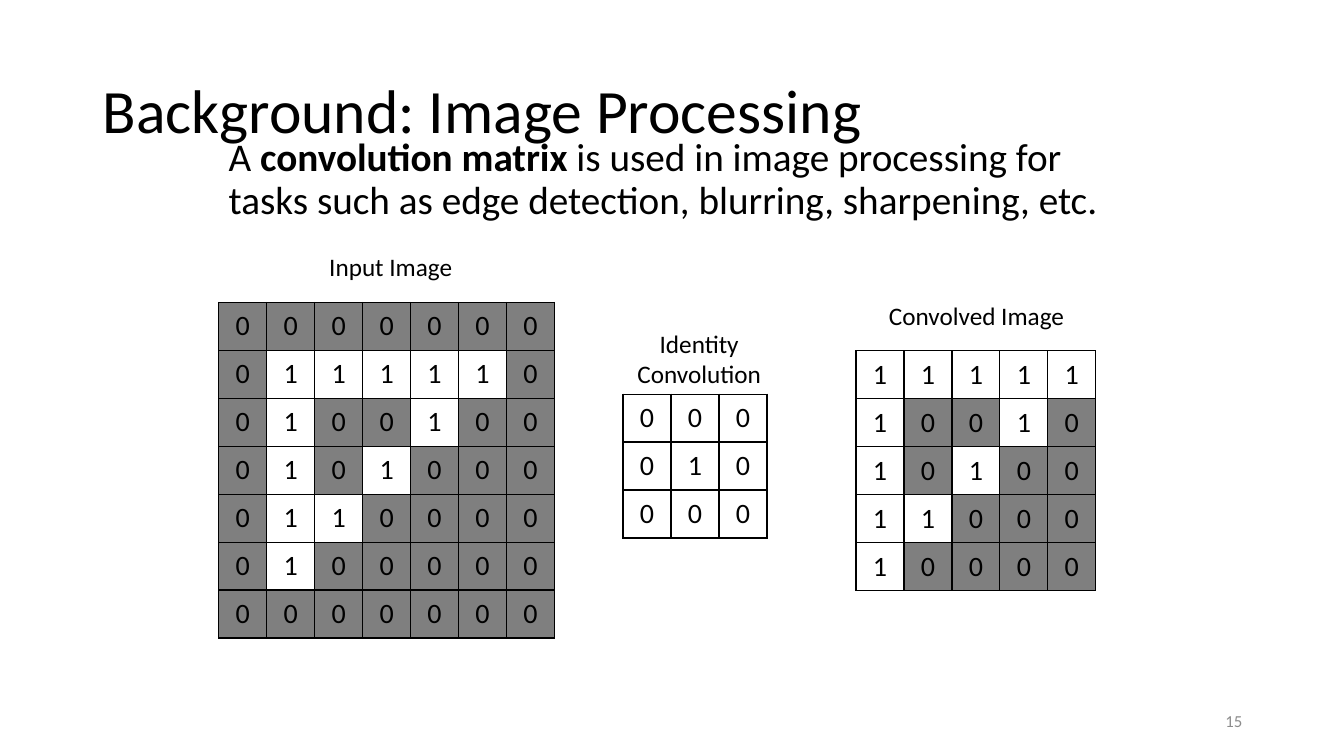
import pptx
import pptx.dml.color
import pptx.enum.text
import pptx.oxml
import pptx.oxml.ns
import pptx.util
from pptx.util import Inches

ALIGN = pptx.enum.text.PP_ALIGN
ANCHOR = pptx.enum.text.MSO_ANCHOR

CELL = 3.33 / 7
GRAY = "7F7F7F"
WHITE = "FFFFFF"

INPUT_IMAGE = ["0000000", "0111110", "0100100", "0101000",
               "0110000", "0100000", "0000000"]
IDENTITY_KERNEL = ["000", "010", "000"]
# The identity kernel keeps the inner pixels and drops the outer ring.
CONVOLVED_IMAGE = [row[1:-1] for row in INPUT_IMAGE[1:-1]]


def color(value):
    return pptx.dml.color.RGBColor.from_string(value)


def write(paragraph, text, font="Calibri", size=18, ink="000000", bold=False,
          align=ALIGN.LEFT, spacing=None):
    """Add one formatted run to the paragraph."""
    paragraph.alignment = align
    if spacing:
        paragraph.line_spacing = spacing
    run = paragraph.add_run()
    run.text = text
    run.font.name = font
    run.font.size = pptx.util.Pt(size)
    run.font.bold = bold
    run.font.color.rgb = color(ink)


class SlideBuilder:
    def __init__(self, slide, border="000000", border_width=1):
        self.slide = slide
        self.border = border
        self.border_width = pptx.util.Pt(border_width)

    def text(self, left, top, width, height, *parts, anchor=ANCHOR.MIDDLE,
             **style):
        """Add a text box; each part is a (text, bold) pair."""
        box = self.slide.shapes.add_textbox(
            Inches(left), Inches(top), Inches(width), Inches(height))
        frame = box.text_frame
        frame.word_wrap = True
        frame.vertical_anchor = anchor
        for text, bold in parts:
            write(frame.paragraphs[0], text, bold=bold, **style)

    def label(self, left, top, width, text):
        self.text(left, top, width, 0.43, (text, False), align=ALIGN.CENTER)

    def outline(self, cell):
        """Draw the four borders of a table cell."""
        properties = cell._tc.get_or_add_tcPr()
        for side in ("lnL", "lnR", "lnT", "lnB"):
            properties.append(pptx.oxml.parse_xml(
                f'<a:{side} {pptx.oxml.ns.nsdecls("a")} w="{self.border_width}">'
                f'<a:solidFill><a:srgbClr val="{self.border}"/></a:solidFill>'
                f'</a:{side}>'))

    def matrix(self, left, top, rows, zero_fill=GRAY):
        """Add a grid of square cells, one digit in each."""
        height, width = len(rows), len(rows[0])
        table = self.slide.shapes.add_table(
            height, width, Inches(left), Inches(top),
            Inches(width * CELL), Inches(height * CELL)).table
        table.first_row = False
        table.horz_banding = False
        for column in table.columns:
            column.width = Inches(CELL)
        for r, digits in enumerate(rows):
            table.rows[r].height = Inches(CELL)
            for c, digit in enumerate(digits):
                cell = table.cell(r, c)
                cell.margin_left = cell.margin_right = 0
                cell.margin_top = cell.margin_bottom = 0
                cell.vertical_anchor = ANCHOR.MIDDLE
                self.outline(cell)
                cell.fill.solid()
                cell.fill.fore_color.rgb = color(
                    zero_fill if digit == "0" else WHITE)
                write(cell.text_frame.paragraphs[0], digit, size=20,
                      align=ALIGN.CENTER)


def main():
    deck = pptx.Presentation()
    deck.slide_width = Inches(13.33)
    deck.slide_height = Inches(7.5)
    page = SlideBuilder(deck.slides.add_slide(deck.slide_layouts[6]))

    page.text(0.92, 0.4, 11.5, 1.45, ("Background: Image Processing", False),
              size=44, spacing=0.9)
    page.text(2.17, 1.32, 9, 1.1,
              ("A ", False), ("convolution matrix ", True),
              ("is used in image processing for tasks such as edge detection, "
               "blurring, sharpening, etc.", False),
              anchor=ANCHOR.TOP, size=28, spacing=0.9)
    page.text(9.42, 6.95, 3, 0.4, ("15", False),
              size=12, ink="8C8C8C", align=ALIGN.RIGHT)

    page.matrix(6.18, 3.91, IDENTITY_KERNEL, zero_fill=WHITE)
    page.label(6.18, 3.34, 1.51, "Identity Convolution")
    page.label(3.12, 2.43, 1.51, "Input Image")
    page.label(8.64, 2.91, 2.09, "Convolved Image")
    page.matrix(2.17, 3, INPUT_IMAGE)
    page.matrix(8.49, 3.48, CONVOLVED_IMAGE)

    deck.save("out.pptx")


if __name__ == "__main__":
    main()
